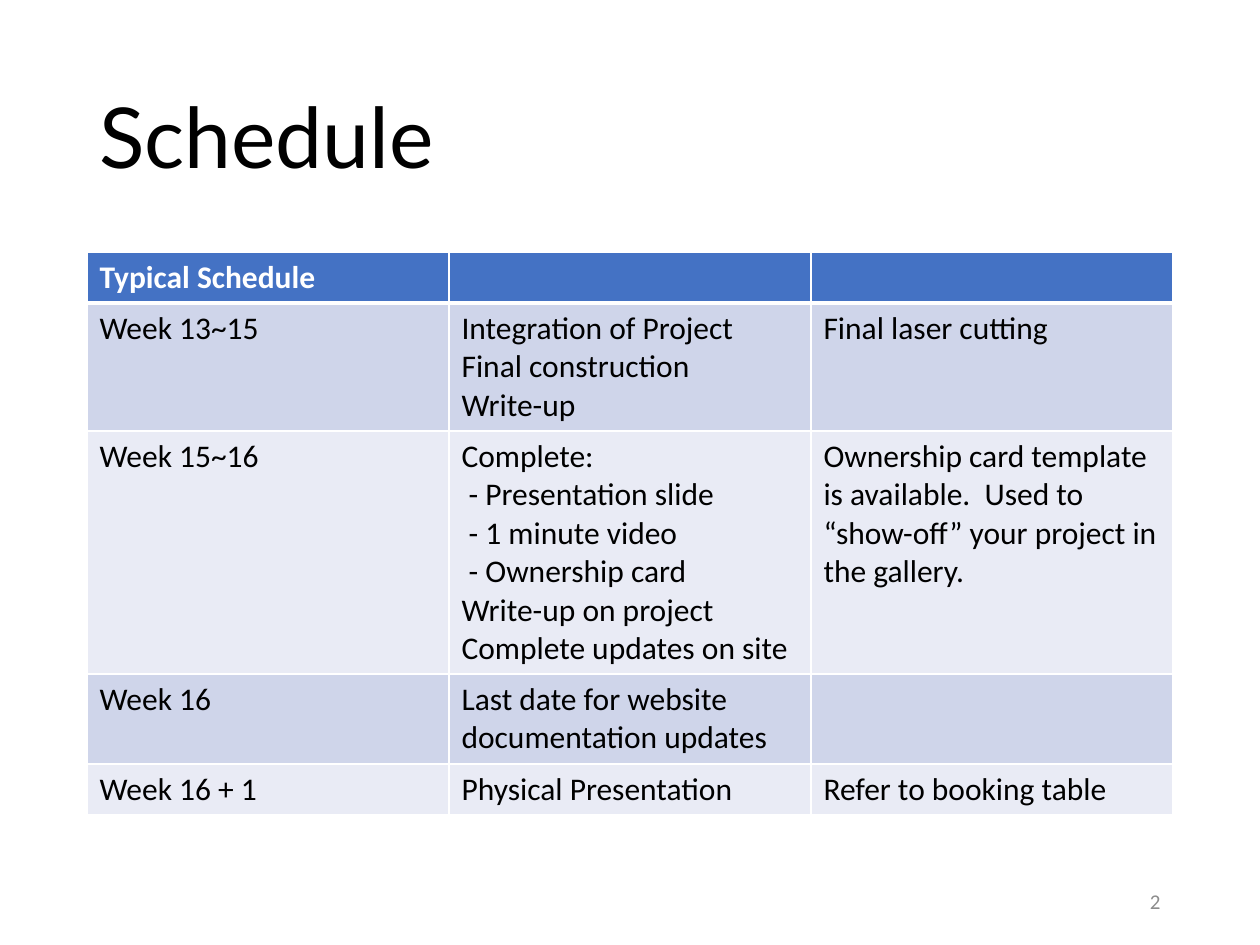
from lxml import etree
from pptx import Presentation
from pptx.dml.color import RGBColor
from pptx.enum.text import MSO_ANCHOR as Anchor, PP_ALIGN as Align
from pptx.oxml.ns import qn
from pptx.util import Emu, Pt

EMU_PER_PX = 914400 / 126
COLORS = {
    "black": "000000",
    "white": "FFFFFF",
    "gray": "8C8C8C",
    "header": "4472C4",
    "odd_row": "CFD5EA",
    "even_row": "E9EBF5",
}
COLUMN_WIDTH = 362
ROW_HEIGHTS = [51, 128, 243, 90, 51]
SCHEDULE = [
    ["Typical Schedule", "", ""],
    ["Week 13~15", "Integration of Project\nFinal construction\nWrite-up", "Final laser cutting"],
    [
        "Week 15~16",
        "Complete:\n - Presentation slide\n - 1 minute video\n - Ownership card\n"
        "Write-up on project\nComplete updates on site",
        "Ownership card template is available.  Used to “show-off” your project in the gallery.",
    ],
    ["Week 16", "Last date for website documentation updates", ""],
    ["Week 16 + 1", "Physical Presentation", "Refer to booking table"],
]


def px(length):
    return Emu(round(length * EMU_PER_PX))


def rgb(name):
    return RGBColor.from_string(COLORS[name])


def format_text(text_frame, font, size, color, bold=False):
    for paragraph in text_frame.paragraphs:
        for run in paragraph.runs:
            run.font.name = font
            run.font.size = Pt(size)
            run.font.bold = bold
            run.font.color.rgb = rgb(color)


def add_text(slide, box, text, font, size, color, align=Align.LEFT, spacing=1.0):
    text_frame = slide.shapes.add_textbox(*map(px, box)).text_frame
    text_frame.word_wrap = True
    text_frame.vertical_anchor = Anchor.MIDDLE
    text_frame.text = text
    text_frame.paragraphs[0].alignment = align
    text_frame.paragraphs[0].line_spacing = spacing
    format_text(text_frame, font, size, color)


def add_borders(cell, widths):
    properties = cell._tc.get_or_add_tcPr()
    for side, width in widths.items():
        line = etree.SubElement(properties, qn(f"a:ln{side}"), w=str(Pt(width)))
        fill = etree.SubElement(line, qn("a:solidFill"))
        etree.SubElement(fill, qn("a:srgbClr"), val=COLORS["white"])


def style_cell(cell, row):
    is_header = row == 0
    add_borders(cell, {"L": 1, "R": 1, "T": 3 if row == 1 else 1, "B": 3 if is_header else 1})
    cell.fill.solid()
    cell.fill.fore_color.rgb = rgb("header" if is_header else "odd_row" if row % 2 else "even_row")
    format_text(cell.text_frame, "Calibri", 18, "white" if is_header else "black", is_header)


def add_schedule(slide, left, top):
    row_count, column_count = len(SCHEDULE), len(SCHEDULE[0])
    table = slide.shapes.add_table(
        row_count, column_count, px(left), px(top),
        px(COLUMN_WIDTH * column_count), px(sum(ROW_HEIGHTS)),
    ).table
    for column in table.columns:
        column.width = px(COLUMN_WIDTH)
    for row, (texts, height) in enumerate(zip(SCHEDULE, ROW_HEIGHTS)):
        table.rows[row].height = px(height)
        for column, text in enumerate(texts):
            cell = table.cell(row, column)
            cell.text = text
            style_cell(cell, row)


def main():
    presentation = Presentation()
    presentation.slide_width, presentation.slide_height = px(1260), px(945)
    slide = presentation.slides.add_slide(presentation.slide_layouts[6])
    add_text(slide, (87, 50, 1086, 183), "Schedule", "Lato", 48, "black", spacing=0.9)
    add_schedule(slide, 87, 252)
    add_text(slide, (890, 876, 283, 50), "2", "Calibri", 12, "gray", Align.RIGHT)
    presentation.save("out.pptx")


if __name__ == "__main__":
    main()
